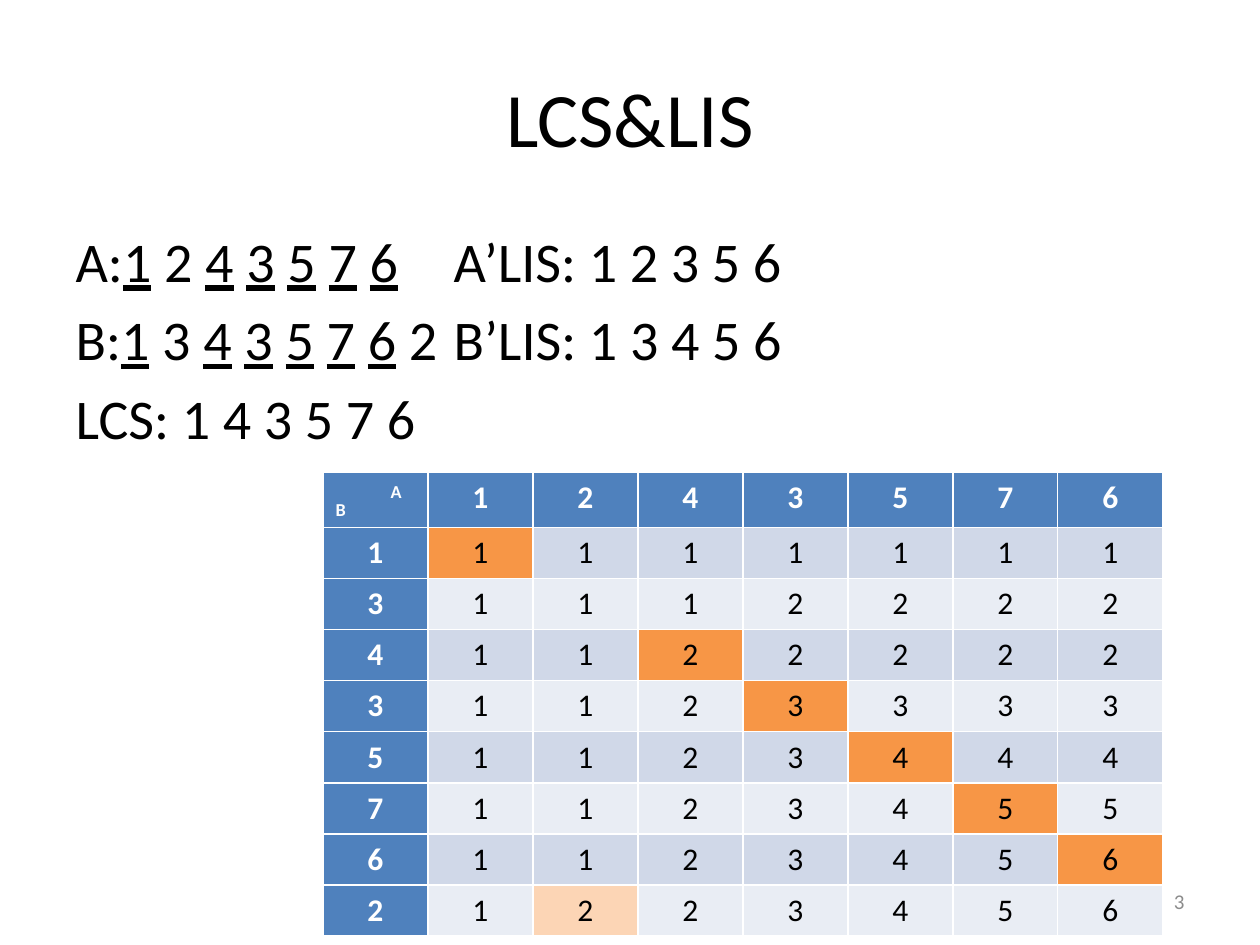
"""Build the LCS and LIS slide with its dynamic programming table."""
from dataclasses import dataclass
from typing import Any

from lxml.etree import SubElement
from pptx import Presentation
from pptx.dml.color import RGBColor
from pptx.enum.text import MSO_ANCHOR, PP_ALIGN
from pptx.oxml.ns import qn
from pptx.util import Emu, Pt

PX_PER_INCH = 126
FONT = "Calibri"
COLORS = {
    "text": "000000",
    "white": "FFFFFF",
    "header": "4F81BD",
    "band_dark": "D0D8E8",
    "band_light": "E9EDF4",
    "match": "F79646",
    "late_match": "FCD5B5",
    "number": "8C8C8C",
}


@dataclass(frozen=True)
class Box:
    left: int
    top: int
    width: int
    height: int

    def emu(self) -> tuple[Emu, Emu, Emu, Emu]:
        return px(self.left), px(self.top), px(self.width), px(self.height)


@dataclass(frozen=True)
class TableRow:
    symbol: str
    lengths: str
    marked: int | None = None
    mark_color: str = "match"


TITLE_BOX = Box(63, 38, 1134, 158)
BODY_BOX = Box(63, 220, 1134, 624)
TABLE_BOX = Box(323, 472, 840, 459)
NUMBER_BOX = Box(903, 876, 294, 50)
LIS_TAB = 630
CORNER_TAB = 55

SEQUENCE_LINES = [
    "A:_1_ 2 _4_ _3_ _5_ _7_ _6_\tA’LIS: 1 2 3 5 6",
    "B:_1_ 3 _4_ _3_ _5_ _7_ _6_ 2\tB’LIS: 1 3 4 5 6",
    "LCS: 1 4 3 5 7 6",
]
A_SYMBOLS = "1243576"
B_ROWS = [
    TableRow("1", "1111111", 0),
    TableRow("3", "1112222"),
    TableRow("4", "1122222", 2),
    TableRow("3", "1123333", 3),
    TableRow("5", "1123444", 4),
    TableRow("7", "1123455", 5),
    TableRow("6", "1123456", 6),
    TableRow("2", "1223456", 1, "late_match"),
]


def px(length: int) -> Emu:
    return Emu(round(length * 914400 / PX_PER_INCH))


def place(shape: Any, box: Box) -> None:
    shape.left, shape.top, shape.width, shape.height = box.emu()


def write(paragraph: Any, text: str, *, size: int, color: str = "text",
          bold: bool = False, underline: bool = False, baseline: int = 0,
          align: PP_ALIGN = PP_ALIGN.LEFT) -> None:
    paragraph.alignment = align
    run = paragraph.add_run()
    run.text = text
    run.font.name = FONT
    run.font.size = Pt(size)
    run.font.bold = bold
    run.font.underline = underline
    run.font.color.rgb = RGBColor.from_string(COLORS[color])
    if baseline:
        run.font._element.set("baseline", str(baseline * 1000))


def add_tab(paragraph: Any, position: int) -> None:
    tabs = SubElement(paragraph._p.get_or_add_pPr(), qn("a:tabLst"))
    SubElement(tabs, qn("a:tab"), pos=str(px(position)), algn="l")


def write_sequences(body: Any) -> None:
    frame = body.text_frame
    for index, line in enumerate(SEQUENCE_LINES):
        paragraph = frame.add_paragraph() if index else frame.paragraphs[0]
        properties = paragraph._p.get_or_add_pPr()
        properties.set("marL", "0")
        properties.set("indent", "0")
        SubElement(properties, qn("a:buNone"))
        add_tab(paragraph, LIS_TAB)
        if not index:
            paragraph.space_before = Pt(0)
        for part, text in enumerate(line.split("_")):
            write(paragraph, text, size=32, underline=part % 2 == 1)


def fill_cell(cell: Any, text: str, fill: str, is_header: bool = False) -> None:
    cell.fill.solid()
    cell.fill.fore_color.rgb = RGBColor.from_string(COLORS[fill])
    if text:
        write(cell.text_frame.paragraphs[0], text, size=18, bold=is_header,
              color="white" if is_header else "text", align=PP_ALIGN.CENTER)


def add_lcs_table(slide: Any) -> None:
    row_count, column_count = len(B_ROWS) + 1, len(A_SYMBOLS) + 1
    table = slide.shapes.add_table(row_count, column_count, *TABLE_BOX.emu()).table
    table.first_col = True
    for column in table.columns:
        column.width = px(TABLE_BOX.width // column_count)
    for row in table.rows:
        row.height = px(TABLE_BOX.height // row_count)

    corner = table.cell(0, 0)
    fill_cell(corner, "", "header")
    axis_names = corner.text_frame.paragraphs[0]
    add_tab(axis_names, CORNER_TAB)
    write(axis_names, "B\t", size=18, color="white", bold=True, baseline=-25)
    write(axis_names, "A", size=18, color="white", bold=True, baseline=30)

    for column, symbol in enumerate(A_SYMBOLS, 1):
        fill_cell(table.cell(0, column), symbol, "header", True)
    for row, entry in enumerate(B_ROWS, 1):
        fill_cell(table.cell(row, 0), entry.symbol, "header", True)
        band = "band_dark" if row % 2 else "band_light"
        for column, length in enumerate(entry.lengths):
            fill = entry.mark_color if column == entry.marked else band
            fill_cell(table.cell(row, column + 1), length, fill)


def add_slide_number(slide: Any) -> None:
    frame = slide.shapes.add_textbox(*NUMBER_BOX.emu()).text_frame
    frame.word_wrap = True
    frame.vertical_anchor = MSO_ANCHOR.MIDDLE
    write(frame.paragraphs[0], "3", size=12, color="number", align=PP_ALIGN.RIGHT)


def main() -> None:
    presentation = Presentation()
    presentation.slide_width, presentation.slide_height = px(1260), px(945)
    slide = presentation.slides.add_slide(presentation.slide_layouts[1])
    title, body = slide.shapes.title, slide.placeholders[1]
    place(title, TITLE_BOX)
    write(title.text_frame.paragraphs[0], "LCS&LIS", size=44, align=PP_ALIGN.CENTER)
    place(body, BODY_BOX)
    write_sequences(body)
    add_lcs_table(slide)
    add_slide_number(slide)
    presentation.save("out.pptx")


if __name__ == "__main__":
    main()
